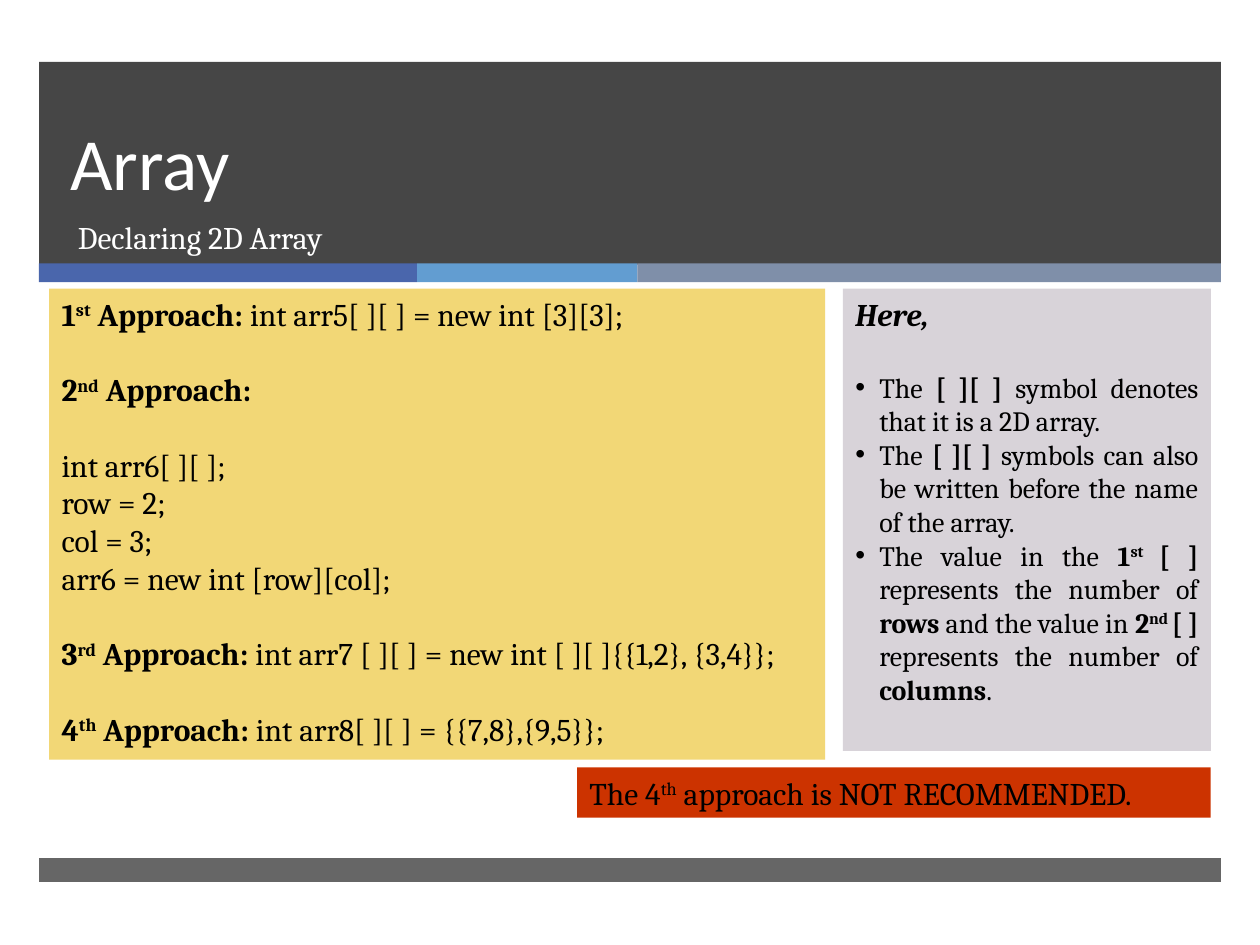
from lxml.etree import SubElement
from pptx import Presentation
from pptx.dml.color import RGBColor
from pptx.enum.shapes import MSO_SHAPE
from pptx.enum.text import MSO_ANCHOR, PP_ALIGN
from pptx.oxml.ns import qn
from pptx.util import Inches, Pt

COLORS = {
    "dark": "262626", "blue": "4A66AC", "sky": "629DD1", "slate": "7F8FA9",
    "yellow": "F2D776", "lilac": "D8D3D9", "red": "CC3300",
    "white": "FFFFFF", "black": "000000",
}
BLANK_LINE = Pt(21.5)

# In the texts below, * switches bold on and off, and ^ superscript.
APPROACHES = [
    ("*1^st^ Approach: *int arr5[ ][ ] = new int [3][3];", False),
    ("*2^nd^ Approach:*", True),
    ("int arr6[ ][ ];", True),
    ("row = 2;", False),
    ("col = 3;", False),
    ("arr6 = new int [row][col];", False),
    ("*3^rd^ Approach: *int arr7 [ ][ ] = new int [ ][ ]{{1,2}, {3,4}};", True),
    ("*4^th^ Approach: *int arr8[ ][ ] = {{7,8},{9,5}};", True),
]
NOTES = [
    "The *[ ][ ] *symbol denotes that it is a 2D array.",
    "The *[ ][ ]* symbols can also be written before the name of the array.",
    "The value in the *1^st ^[ ]* represents the number of *rows* and the "
    "value in *2^nd ^[ ]* represents the number of *columns*.",
]


def color(name):
    return RGBColor.from_string(COLORS[name])


def add_rectangle(slide, left, top, width, height, fill, opacity=100):
    shape = slide.shapes.add_shape(
        MSO_SHAPE.RECTANGLE, Inches(left), Inches(top), Inches(width), Inches(height))
    shape.shadow.inherit = False
    shape.line.fill.background()
    shape.fill.solid()
    shape.fill.fore_color.rgb = color(fill)
    if opacity < 100:
        rgb = shape.fill._xPr.find(qn("a:solidFill")).find(qn("a:srgbClr"))
        SubElement(rgb, qn("a:alpha"), val=str(opacity * 1000))
    return shape


def add_panel(slide, left, top, width, height, fill):
    """Add a filled rectangle whose text wraps and starts at the top."""
    shape = add_rectangle(slide, left, top, width, height, fill)
    shape.text_frame.word_wrap = True
    shape.text_frame.vertical_anchor = MSO_ANCHOR.TOP
    return shape.text_frame


def add_bullet(paragraph):
    properties = paragraph._p.get_or_add_pPr()
    properties.set("marL", str(Inches(0.19)))
    properties.set("indent", str(-Inches(0.19)))
    SubElement(properties, qn("a:buFont"), typeface="Arial")
    SubElement(properties, qn("a:buChar"), char="•")


def write_marked(paragraph, text, size=18, italic=False):
    """Write justified text, with * and ^ as switches for bold and superscript."""
    paragraph.alignment = PP_ALIGN.JUSTIFY
    superscript = False
    for bold_index, part in enumerate(text.split("*")):
        for index, piece in enumerate(part.split("^")):
            superscript = index % 2 == 1
            if not piece:
                continue
            run = paragraph.add_run()
            run.text = piece
            run.font.name = "Cambria"
            run.font.size = Pt(size)
            run.font.bold = bold_index % 2 == 1
            run.font.italic = italic
            run.font.color.rgb = color("black")
            if superscript:
                run.font._element.set("baseline", "30000")


def add_heading(slide, left, top, width, height, text, font_name, size):
    box = slide.shapes.add_textbox(
        Inches(left), Inches(top), Inches(width), Inches(height))
    frame = box.text_frame
    frame.word_wrap = True
    frame.text = text
    font = frame.paragraphs[0].runs[0].font
    font.name, font.size = font_name, Pt(size)
    font.color.rgb = color("white")
    return frame


def add_header(slide, left, top, width):
    add_rectangle(slide, left, top, width, 1.61, "dark", 85)
    stripe_left = left
    for stripe_width, fill in ((3, "blue"), (1.75, "sky"), (4.63, "slate")):
        add_rectangle(slide, stripe_left, top + 1.6, stripe_width, 0.15, fill)
        stripe_left += stripe_width
    title = add_heading(
        slide, left + 0.15, top, 8.54, 1.19, "Array", "Calibri", 42)
    title.vertical_anchor = MSO_ANCHOR.BOTTOM
    title.paragraphs[0].line_spacing = Pt(46)
    add_heading(slide, left + 0.21, top + 1.19, 8.48, 0.53,
                "Declaring 2D Array", "Cambria", 18)


def add_approaches(slide, left, top, width, height):
    frame = add_panel(slide, left, top, width, height, "yellow")
    for index, (text, gap_before) in enumerate(APPROACHES):
        paragraph = frame.add_paragraph() if index else frame.paragraphs[0]
        if gap_before:
            paragraph.space_before = BLANK_LINE
        write_marked(paragraph, text)


def add_notes_panel(slide, left, top, width, height):
    frame = add_panel(slide, left, top, width, height, "lilac")
    write_marked(frame.paragraphs[0], "*Here,*", italic=True)
    for index, text in enumerate(NOTES):
        paragraph = frame.add_paragraph()
        if index == 0:
            paragraph.space_before = BLANK_LINE
        add_bullet(paragraph)
        write_marked(paragraph, text, size=16)


def add_warning(slide, left, top, width, height):
    frame = add_panel(slide, left, top, width, height, "red")
    write_marked(frame.paragraphs[0], "The 4^th^ approach is NOT RECOMMENDED.")


def main():
    presentation = Presentation()
    presentation.slide_width = Inches(10)
    presentation.slide_height = Inches(7.5)
    slide = presentation.slides.add_slide(presentation.slide_layouts[6])
    add_header(slide, 0.31, 0.49, 9.38)
    add_rectangle(slide, 0.31, 6.81, 9.38, 0.19, "dark", 70)
    add_approaches(slide, 0.39, 2.29, 6.16, 3.74)
    add_notes_panel(slide, 6.69, 2.29, 2.92, 3.67)
    add_warning(slide, 4.58, 6.09, 5.03, 0.4)
    presentation.save("out.pptx")


if __name__ == "__main__":
    main()
